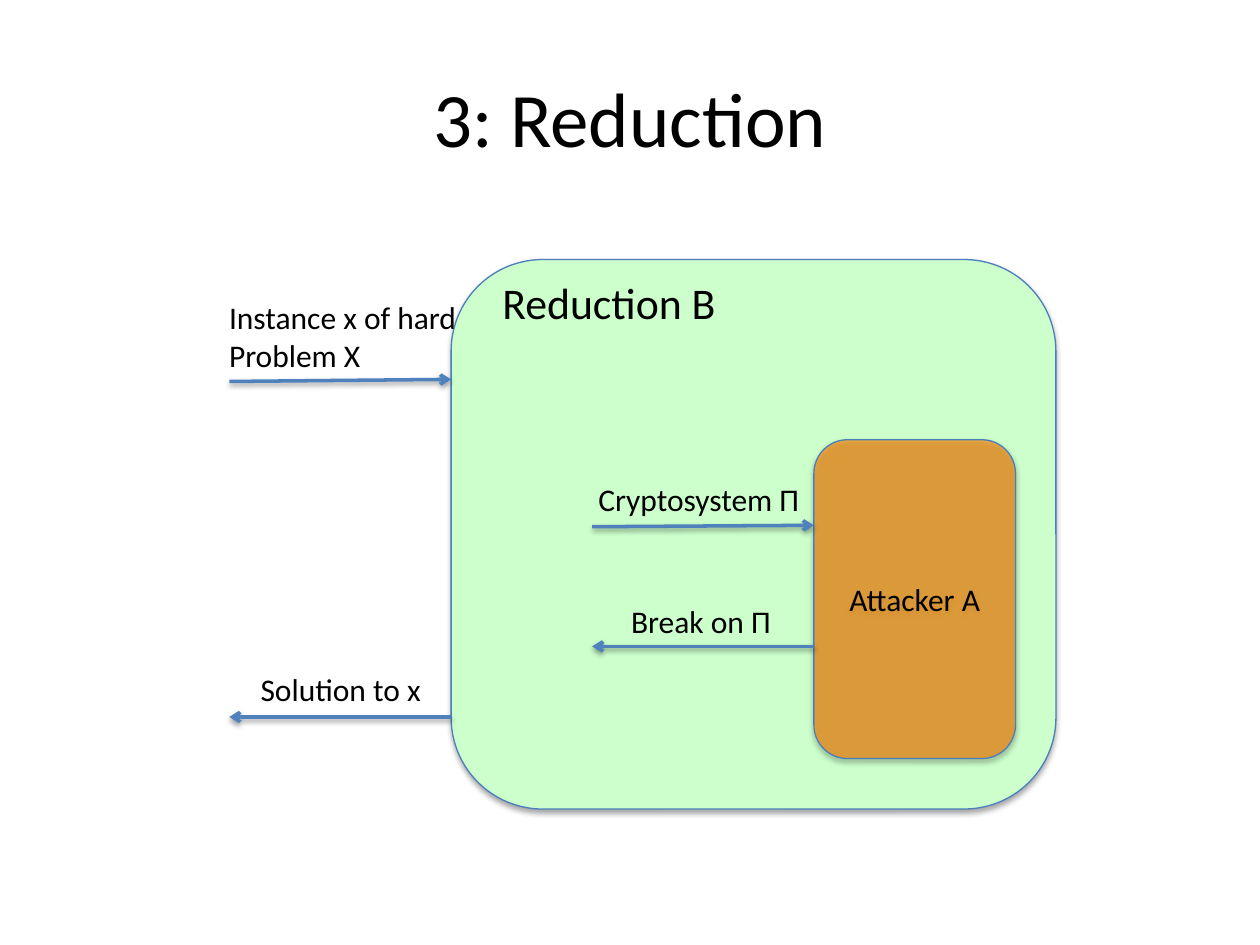
from lxml.etree import SubElement
from pptx import Presentation
from pptx.dml.color import RGBColor
from pptx.enum.shapes import MSO_CONNECTOR, MSO_SHAPE
from pptx.enum.text import MSO_ANCHOR, MSO_AUTO_SIZE, PP_ALIGN
from pptx.oxml.ns import qn
from pptx.util import Pt

COLORS = {
    "text": "000000",
    "reduction": "CCFFCC",
    "attacker": "FF8000",
    "outline": "4B7EBC",
    "arrow": "4F81BD",
    "shadow": "000000",
}
FONT = "Calibri"

REDUCTION_LEFT = 257.8
ATTACKER_LEFT = 465.1
ARROW_LENGTH = 126.7


def color(name):
    return RGBColor.from_string(COLORS[name])


def set_alpha(fill_element, percent):
    color_element = fill_element.find(".//" + qn("a:srgbClr"))
    SubElement(color_element, qn("a:alpha"), val=str(percent * 1000))


def add_shadow(shape, distance, opacity):
    """Add a soft shadow straight below; call after fill and line are set."""
    effects = SubElement(shape._element.spPr, qn("a:effectLst"))
    shadow = SubElement(
        effects, qn("a:outerShdw"), blurRad=str(Pt(3.1)), dist=str(Pt(distance)),
        dir="5400000", rotWithShape="0")
    SubElement(shadow, qn("a:srgbClr"), val=COLORS["shadow"])
    set_alpha(shadow, opacity)


def write_text(frame, text, size=18, align=PP_ALIGN.LEFT, anchor=MSO_ANCHOR.TOP):
    frame.text = text
    frame.vertical_anchor = anchor
    for paragraph in frame.paragraphs:
        paragraph.alignment = align
        paragraph.font.name = FONT
        paragraph.font.size = Pt(size)
        paragraph.font.color.rgb = color("text")


def add_title(slide, text):
    title = slide.shapes.title
    title.left, title.top, title.width, title.height = map(Pt, (36, 21.6, 648, 90))
    write_text(title.text_frame, text, size=44, align=PP_ALIGN.CENTER,
               anchor=MSO_ANCHOR.MIDDLE)


def add_party(slide, left, top, width, height, fill, opacity=100):
    party = slide.shapes.add_shape(
        MSO_SHAPE.ROUNDED_RECTANGLE, *map(Pt, (left, top, width, height)))
    party.fill.solid()
    party.fill.fore_color.rgb = color(fill)
    if opacity < 100:
        set_alpha(party._element.spPr.find(qn("a:solidFill")), opacity)
    party.line.color.rgb = color("outline")
    party.line.width = Pt(0.75)
    add_shadow(party, distance=1.8, opacity=35)
    return party


def add_label(slide, text, left, top, width, height, size=18):
    label = slide.shapes.add_textbox(*map(Pt, (left, top, width, height)))
    write_text(label.text_frame, text, size=size)
    label.text_frame.word_wrap = False
    label.text_frame.auto_size = MSO_AUTO_SIZE.SHAPE_TO_FIT_TEXT


def add_message_arrow(slide, start_x, start_y, end_x, end_y):
    arrow = slide.shapes.add_connector(
        MSO_CONNECTOR.STRAIGHT, *map(Pt, (start_x, start_y, end_x, end_y)))
    arrow.line.color.rgb = color("arrow")
    arrow.line.width = Pt(2)
    SubElement(arrow.line._get_or_add_ln(), qn("a:tailEnd"), type="arrow")
    add_shadow(arrow, distance=1.6, opacity=38)


def add_exchange(slide, party_left, query_start_y, query_end_y, answer_y):
    """Draw the arrow into a party's left edge and the arrow back out of it."""
    outer_x = party_left - ARROW_LENGTH
    add_message_arrow(slide, outer_x, query_start_y, party_left, query_end_y)
    add_message_arrow(slide, party_left, answer_y, outer_x, answer_y)


def main():
    presentation = Presentation()
    presentation.slide_width, presentation.slide_height = Pt(720), Pt(540)
    slide = presentation.slides.add_slide(presentation.slide_layouts[5])

    add_title(slide, "3: Reduction")
    add_party(slide, REDUCTION_LEFT, 148.3, 345.6, 314, "reduction")
    attacker = add_party(slide, ATTACKER_LEFT, 251.3, 115.2, 182.2, "attacker",
                         opacity=63)
    write_text(attacker.text_frame, "Attacker A", align=PP_ALIGN.CENTER,
               anchor=MSO_ANCHOR.MIDDLE)
    add_label(slide, "Reduction B", 280, 154, 137.5, 37.4, size=25)

    add_exchange(slide, ATTACKER_LEFT, 301, 300.2, 369.4)
    add_exchange(slide, REDUCTION_LEFT, 218, 216.8, 409.7)

    add_label(slide, "Cryptosystem Π", 334.8, 270.7, 130.3, 29)
    add_label(slide, "Break on Π", 353.5, 340.6, 95, 29)
    add_label(slide, "Instance x of hard\nProblem X", 123.8, 167, 145.4, 51)
    add_label(slide, "Solution to x", 141.8, 379.4, 107.3, 29)

    presentation.save("out.pptx")


if __name__ == "__main__":
    main()
